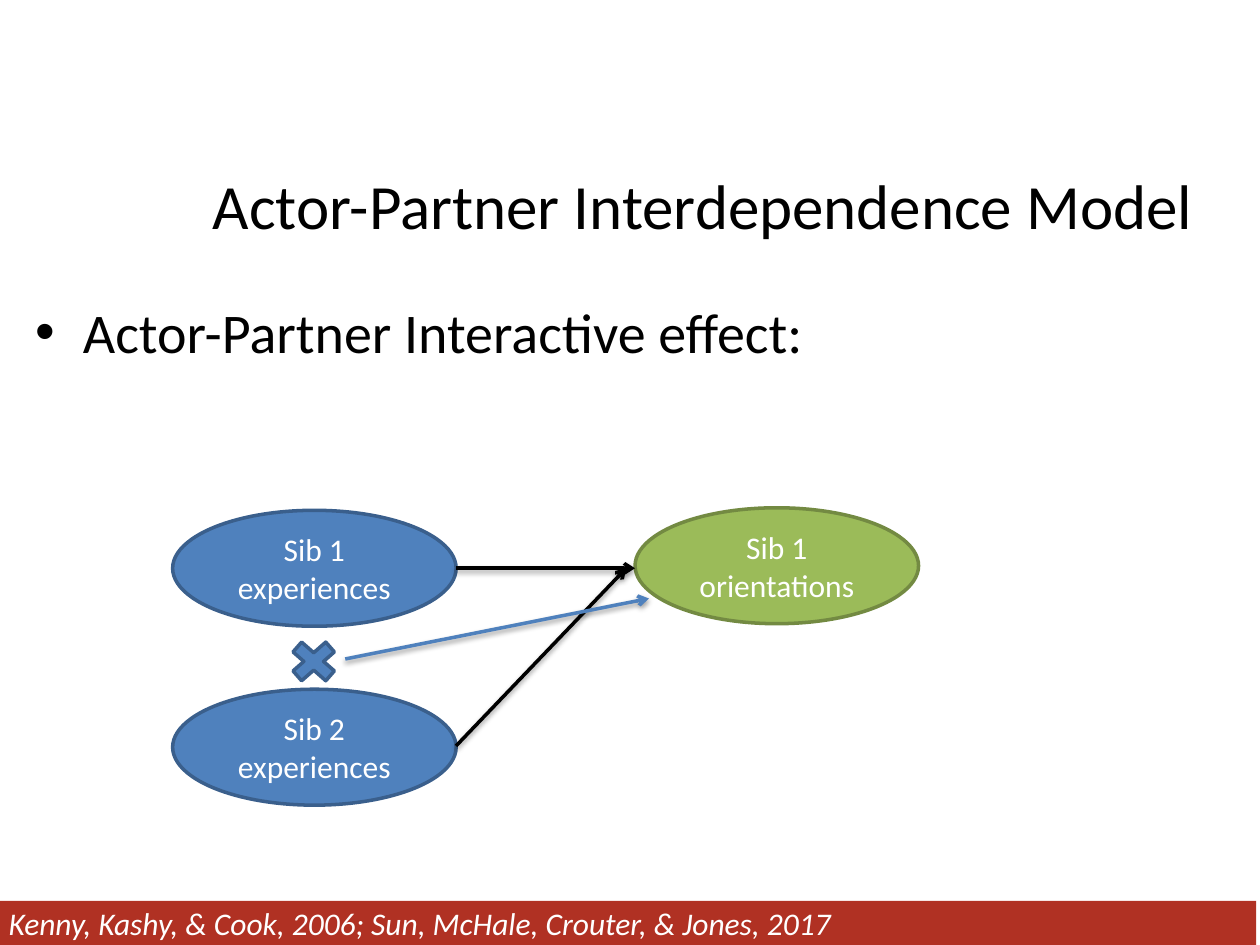
from lxml import etree
from pptx import Presentation
from pptx.dml.color import RGBColor
from pptx.enum import shapes, text
from pptx.oxml import parse_xml
from pptx.oxml.ns import nsdecls, qn
from pptx.util import Inches, Pt

THEME = dict(font="Calibri", title=36, body=32, label=18, line=2,
             black="000000", white="FFFFFF", red="B03123",
             blue="4F81BD", blue_edge="3A5F8C",
             green="9BBB59", green_edge="738A42")
KIND = shapes.MSO_SHAPE
ALIGN = text.PP_ALIGN

TITLE = ("Actor-Partner Interdependence Model", (1.33, 1, 8.5, 1.25))
BULLET = ("Actor-Partner Interactive effect:", (0.18, 2.31, 9.58, 1.21))
CITATION = ("Kenny, Kashy, & Cook, 2006; Sun, McHale, Crouter, & Jones, 2017",
            (-0.03, 7.15, 10, 0.35))
OVAL_SIZE = (2.25, 0.92)
OVALS = [
    ("Sib 1 experiences", (1.37, 4.05), "blue"),
    ("Sib 1 orientations", (5.04, 4.03), "green"),
    ("Sib 2 experiences", (1.37, 5.47), "blue"),
]
TIMES_BOX = (2.24, 5.03, 0.5, 0.44)
ARROWS = [
    ((3.62, 4.51), (5.04, 4.51), "black"),
    ((3.62, 5.92), (4.97, 4.51), "black"),
    ((2.74, 5.23), (5.15, 4.75), "blue"),
]


def color(name):
    return RGBColor.from_string(THEME[name])


def inches(values):
    return [Inches(v) for v in values]


def write(tf, words, size, ink, align=ALIGN.LEFT, italic=None,
          anchor=text.MSO_ANCHOR.MIDDLE):
    tf.word_wrap = True
    tf.vertical_anchor = anchor
    p = tf.paragraphs[0]
    p.text = words
    p.alignment = align
    p.font.name = THEME["font"]
    p.font.size = Pt(THEME[size])
    p.font.italic = italic
    p.font.color.rgb = color(ink)
    return p


def add_box(s, kind, box, fill, edge=None):
    sp = s.shapes.add_shape(kind, *inches(box))
    sp.shadow.inherit = False
    sp.fill.solid()
    sp.fill.fore_color.rgb = color(fill)
    if edge:
        sp.line.color.rgb = color(edge)
        sp.line.width = Pt(THEME["line"])
    else:
        sp.line.fill.background()
    return sp


def add_arrow(s, start, end, ink):
    sp = s.shapes.add_connector(shapes.MSO_CONNECTOR.STRAIGHT,
                                *inches(start + end))
    sp.line.color.rgb = color(ink)
    sp.line.width = Pt(THEME["line"])
    ln = sp.line._get_or_add_ln()
    etree.SubElement(ln, qn("a:tailEnd"), type="arrow")
    ln.addnext(parse_xml(
        f'<a:effectLst {nsdecls("a")}>'
        '<a:outerShdw blurRad="40000" dist="20000" dir="5400000" rotWithShape="0">'
        f'<a:srgbClr val="{THEME["black"]}"><a:alpha val="38000"/></a:srgbClr>'
        '</a:outerShdw></a:effectLst>'))


def add_bullet(s, words, box):
    sp = s.shapes.add_textbox(*inches(box))
    p = write(sp.text_frame, words, "body", "black",
              anchor=text.MSO_ANCHOR.TOP)
    p.space_before = Pt(0.2 * THEME["body"])
    pPr = p._p.get_or_add_pPr()
    pPr.set("marL", str(Inches(0.38)))
    pPr.set("indent", str(-Inches(0.38)))
    bullet = [parse_xml(f'<a:buFont {nsdecls("a")} typeface="Arial"/>'),
              parse_xml(f'<a:buChar {nsdecls("a")} char="•"/>')]
    at = list(pPr).index(pPr.find(qn("a:defRPr")))
    pPr[at:at] = bullet


prs = Presentation()
prs.slide_width, prs.slide_height = Inches(10), Inches(7.5)
s = prs.slides.add_slide(prs.slide_layouts[5])

words, box = TITLE
title = s.shapes.title
title.left, title.top, title.width, title.height = inches(box)
write(title.text_frame, words, "title", "black", ALIGN.CENTER)

words, box = CITATION
bar = add_box(s, KIND.RECTANGLE, box, "red")
write(bar.text_frame, words, "label", "white", italic=True)

add_bullet(s, *BULLET)

for words, place, hue in OVALS:
    oval = add_box(s, KIND.OVAL, place + OVAL_SIZE, hue, hue + "_edge")
    write(oval.text_frame, words, "label", "white", ALIGN.CENTER)

add_box(s, KIND.MATH_MULTIPLY, TIMES_BOX, "blue", "blue_edge")

for start, end, ink in ARROWS:
    add_arrow(s, start, end, ink)

prs.save("out.pptx")
